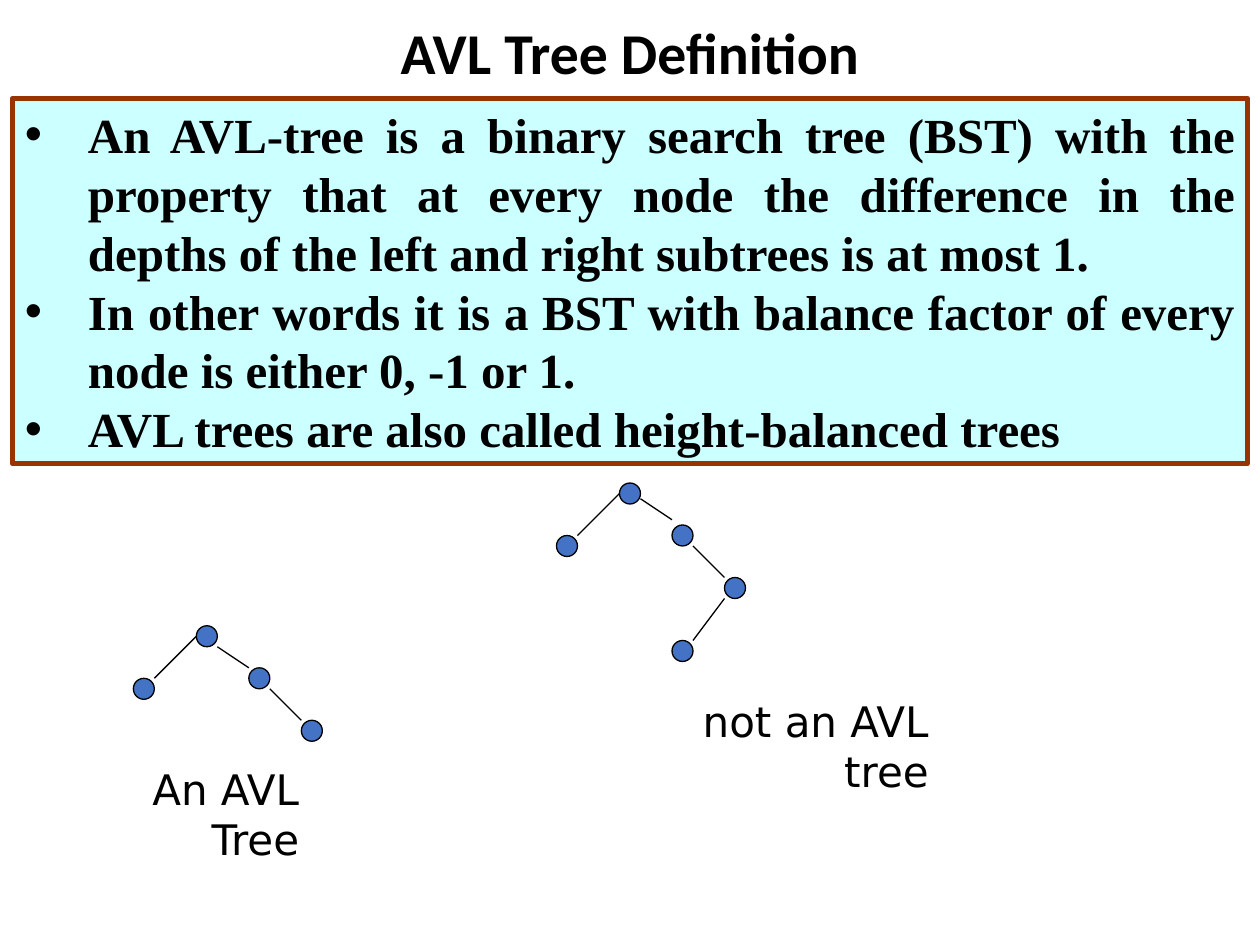
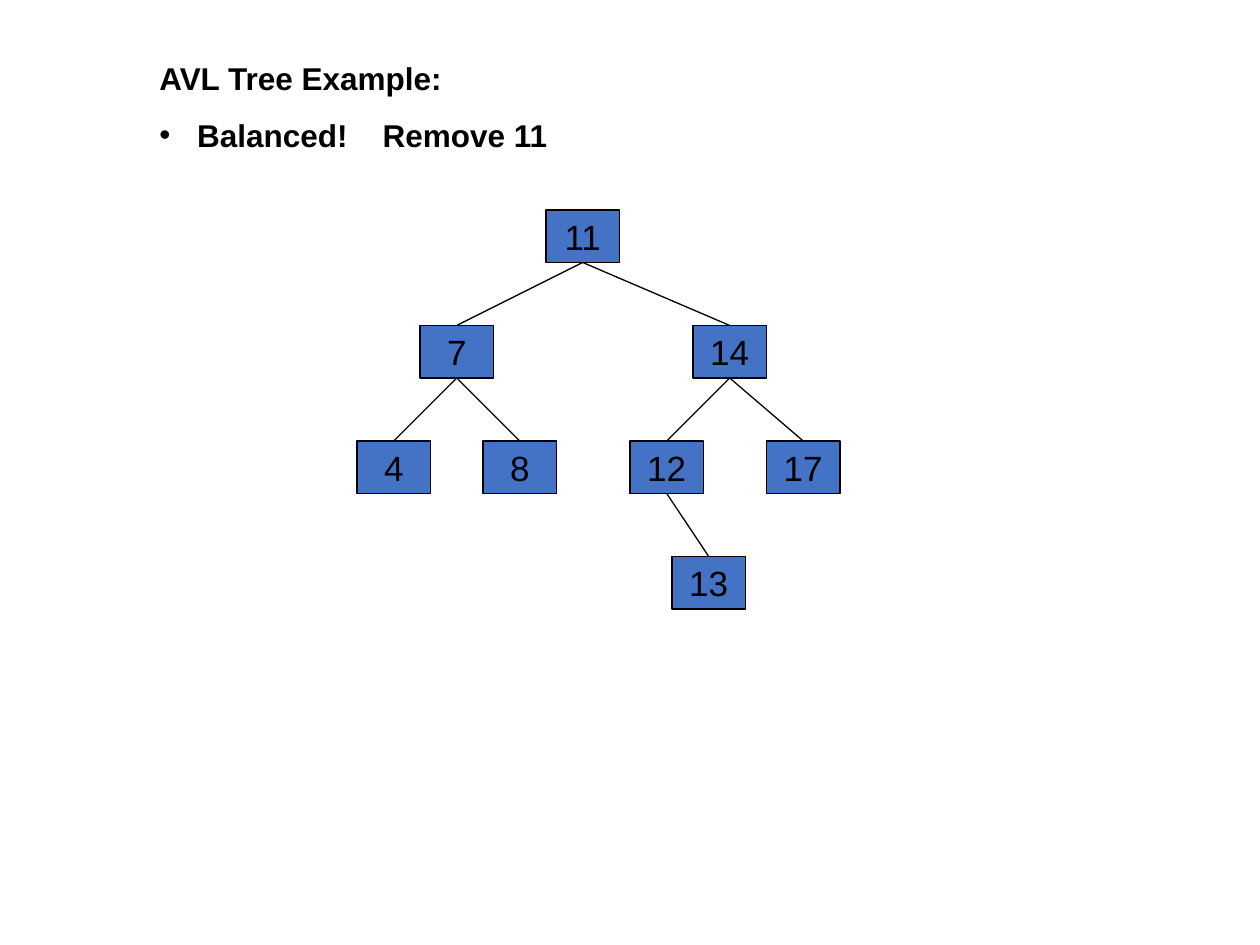
"""Build two slides on AVL trees: the definition and a worked example."""
import dataclasses

import lxml.etree
import pptx
import pptx.dml.color
import pptx.enum.shapes
import pptx.enum.text
import pptx.oxml.ns
import pptx.util

Pt = pptx.util.Pt
qn = pptx.oxml.ns.qn
RGB = pptx.dml.color.RGBColor.from_string
SHAPE = pptx.enum.shapes.MSO_SHAPE
STRAIGHT = pptx.enum.shapes.MSO_CONNECTOR.STRAIGHT
ALIGN = pptx.enum.text.PP_ALIGN
ANCHOR = pptx.enum.text.MSO_ANCHOR


@dataclasses.dataclass(frozen=True)
class Theme:
    ink: str = "000000"
    node: str = "4472C4"
    panel: str = "CCFFFF"
    frame: str = "993300"
    thin: float = 0.75
    thick: float = 3
    title_size: int = 33
    body_size: int = 28
    caption_size: int = 24
    node_size: int = 20
    example_size: int = 18


theme = Theme()


def paint(s, line=theme.ink, width=theme.thin, fill=None):
    """Set outline and fill, and remove the shadow."""
    s.line.color.rgb = RGB(line)
    s.line.width = Pt(width)
    if fill:
        s.fill.solid()
        s.fill.fore_color.rgb = RGB(fill)
    lxml.etree.SubElement(s._element.spPr, qn("a:effectLst"))


def write(s, text, font, size, bold=False, align=ALIGN.LEFT, anchor=ANCHOR.TOP, wrap=True,
          hang=0, bulleted=()):
    """Fill a shape with text, with bullets on the paragraphs numbered in bulleted."""
    tf = s.text_frame
    tf.text = text
    tf.word_wrap = wrap
    tf.vertical_anchor = anchor
    for i, p in enumerate(tf.paragraphs):
        p.alignment = align
        if i in bulleted:
            pPr = p._p.get_or_add_pPr()
            pPr.set("marL", str(Pt(hang)))
            pPr.set("indent", str(-Pt(hang)))
            lxml.etree.SubElement(pPr, qn("a:buFont"), typeface="Arial")
            lxml.etree.SubElement(pPr, qn("a:buChar"), char="•")
        for r in p.runs:
            r.font.name = font
            r.font.size = Pt(size)
            r.font.bold = bold
            r.font.color.rgb = RGB(theme.ink)
    return tf


prs = pptx.Presentation()
prs.slide_width, prs.slide_height = Pt(720), Pt(540)
blank = prs.slide_layouts[6]

definition = prs.slides.add_slide(blank)
title = definition.shapes.add_textbox(Pt(49.5), Pt(11.5), Pt(621), Pt(41))
tf = write(title, "AVL Tree Definition", "Calibri", theme.title_size, True, ALIGN.CENTER,
           ANCHOR.MIDDLE)
tf.paragraphs[0].line_spacing = 0.9

panel = definition.shapes.add_shape(SHAPE.RECTANGLE, Pt(7.2), Pt(56.2), Pt(705.6), Pt(208.8))
paint(panel, theme.frame, theme.thick, theme.panel)
points = [
    "An AVL-tree is a binary search tree (BST) with the property that at every node the "
    "difference in the depths of the left and right subtrees is at most 1. ",
    "In other words it is a BST with balance factor of every node is either 0, -1 or 1.",
    "AVL trees are also called height-balanced trees",
]
write(panel, "\n".join(points), "Times New Roman", theme.body_size, True, ALIGN.JUSTIFY,
      hang=36, bulleted=range(3))

dot = 12
shared_dots = [(0, 0), (30, 24), (60, 54), (-36, 30)]
shared_edges = [(0, 6, -24, 30), (42, 36, 60, 54)]
trees = [
    (112.2, 357.6, [], [(12, 12, 30, 24)]),
    (354, 276, [(30, 90)], [(12, 9, 30, 21), (60, 66, 42, 90)]),
]
for left, top, more_dots, more_edges in trees:
    for x, y in shared_dots + more_dots:
        s = definition.shapes.add_shape(SHAPE.OVAL, Pt(left + x), Pt(top + y), Pt(dot), Pt(dot))
        paint(s, fill=theme.node)
    for x1, y1, x2, y2 in shared_edges + more_edges:
        s = definition.shapes.add_connector(STRAIGHT, Pt(left + x1), Pt(top + y1),
                                            Pt(left + x2), Pt(top + y2))
        paint(s)

for text, left, top, width in [("An AVL Tree", 28, 432.7, 150),
                               ("not an AVL tree", 350.6, 393.8, 187.2)]:
    s = definition.shapes.add_textbox(Pt(left), Pt(top), Pt(width), Pt(36))
    write(s, text, "DejaVu Sans", theme.caption_size, align=ALIGN.RIGHT)

example = prs.slides.add_slide(blank)
s = example.shapes.add_textbox(Pt(84), Pt(30), Pt(564), Pt(62))
tf = write(s, "AVL Tree Example:\nBalanced!", "Arial", theme.example_size, True,
           hang=21.6, bulleted=[1])
p = tf.paragraphs[1]
p.space_before = Pt(11.2)
for text, spacing in [(" ", 1500), ("Remove 11", 0)]:
    r = p.add_run()
    r.text = text
    r.font.name, r.font.size, r.font.bold = "Arial", Pt(theme.example_size), True
    r.font.color.rgb = RGB(theme.ink)
    r._r.get_or_add_rPr().set("spc", str(spacing))

node_width, node_height = 42, 30
first_level, level_step = 120, 66
levels = [
    {11: 312},
    {7: 240, 14: 396},
    {4: 204, 8: 276, 12: 360, 17: 438},
    {13: 384},
]
children = {11: [7, 14], 7: [4, 8], 14: [12, 17], 12: [13]}
nodes = {}
for depth, level in enumerate(levels):
    for key, left in level.items():
        s = example.shapes.add_shape(SHAPE.RECTANGLE, Pt(left),
                                     Pt(first_level + depth * level_step),
                                     Pt(node_width), Pt(node_height))
        paint(s, fill=theme.node)
        write(s, str(key), "Arial", theme.node_size, align=ALIGN.CENTER,
              anchor=ANCHOR.MIDDLE, wrap=False)
        nodes[key] = s
for parent, keys in children.items():
    for key in keys:
        s = example.shapes.add_connector(STRAIGHT, 0, 0, 0, 0)
        s.begin_connect(nodes[parent], 2)
        s.end_connect(nodes[key], 0)
        paint(s)

prs.save("out.pptx")
